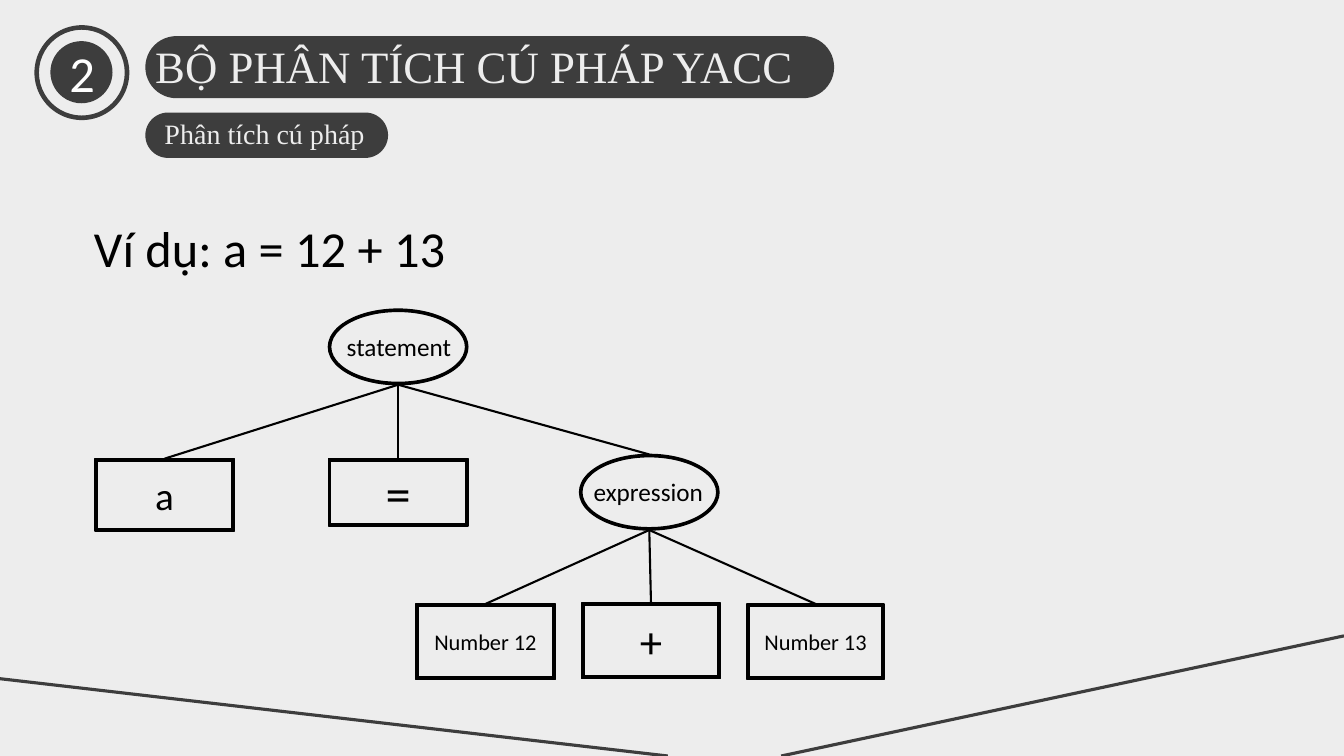
from dataclasses import dataclass
from typing import Optional

from lxml.etree import SubElement
from pptx import Presentation
from pptx.dml.color import RGBColor
from pptx.enum.shapes import MSO_CONNECTOR as Line, MSO_SHAPE as Shape
from pptx.enum.text import MSO_ANCHOR as Anchor, PP_ALIGN as Align
from pptx.oxml.ns import qn
from pptx.util import Inches, Pt

COLS, ROWS = 160, 90
CELL = Inches(7.5) / ROWS
COLORS = {"paper": "EDEDED", "dark": "3D3D3D", "ink": "000000", "white": "FFFFFF"}
SANS, SERIF = "Calibri", "Times New Roman"
NODE_WIDTH = 16.6


@dataclass
class Node:
    text: str
    center: float
    top: float
    size: int
    parent: Optional[str] = None
    width: float = NODE_WIDTH
    height: float = 9
    label_shift: Optional[float] = None

    @property
    def left(self) -> float:
        return self.center - self.width / 2

    @property
    def bottom(self) -> float:
        return self.top + self.height


@dataclass
class Label:
    text: str
    left: float
    top: float
    width: float
    height: float
    size: int
    font: str
    color: str


NODES = [
    Node("statement", 47.4, 36.8, 18, label_shift=1),
    Node("a", 19.6, 54.6, 28, "statement", height=8.6),
    Node("=", 47.4, 54.6, 36, "statement", height=8),
    Node("expression", 77.3, 54.1, 18, "statement", label_shift=0.5),
    Node("Number 12", 57.8, 71.9, 16, "expression"),
    Node("+", 77.5, 71.8, 32, "expression"),
    Node("Number 13", 97.1, 71.9, 16, "expression", width=16.3),
]
LABELS = [
    Label("Ví dụ: a = 12 + 13", 10, 25.3, 50, 8.5, 36, SANS, "ink"),
    Label("Phân tích cú pháp", 18.4, 13.3, 27.7, 5.3, 20, SERIF, "paper"),
    Label("BỘ PHÂN TÍCH CÚ PHÁP YACC", 17.3, 4, 115.7, 7.7, 32, SERIF, "paper"),
]
PILLS = [(17.3, 13.4, 28.9, 5.4), (17.3, 4.3, 82, 7.4)]
FLOOR_LINES = [(0, 80.8, 79.5, ROWS), (COLS, 75.7, 93, ROWS)]


def grid(*cells: float) -> list[int]:
    return [round(c * CELL) for c in cells]


def rgb(name: str) -> RGBColor:
    return RGBColor.from_string(COLORS[name])


def write(sp, text: str, *, size: int, font: str = SANS, color: str = "ink",
          align: Align = Align.LEFT, anchor: Anchor = Anchor.TOP) -> None:
    tf = sp.text_frame
    tf.word_wrap = True
    tf.vertical_anchor = anchor
    p = tf.paragraphs[0]
    p.alignment = align
    r = p.add_run()
    r.text = text
    r.font.size = Pt(size)
    r.font.name = font
    r.font.color.rgb = rgb(color)


def add_shape(s, kind: Shape, box: tuple, color: str, *,
              adj: Optional[float] = None, outline: float = 0):
    sp = s.shapes.add_shape(kind, *grid(*box))
    sp.shadow.inherit = False
    sp.fill.solid()
    sp.fill.fore_color.rgb = rgb(color)
    if outline:
        sp.line.color.rgb = rgb(color)
        sp.line.width = Pt(outline)
    else:
        sp.line.fill.background()
    if adj is not None:
        sp.adjustments[0] = adj
    return sp


def add_line(s, ends: tuple, color: str, width: float) -> None:
    line = s.shapes.add_connector(Line.STRAIGHT, *grid(*ends))
    line.line.color.rgb = rgb(color)
    line.line.width = Pt(width)
    SubElement(line._element.spPr, qn("a:effectLst"))


def add_label(s, label: Label) -> None:
    sp = s.shapes.add_textbox(*grid(label.left, label.top, label.width, label.height))
    write(sp, label.text, size=label.size, font=label.font, color=label.color)


def add_node(s, node: Node) -> None:
    box = (node.left, node.top, node.width, node.height)
    if node.label_shift is None:
        sp = add_shape(s, Shape.FRAME, box, "ink", adj=0.035, outline=1)
        write(sp, node.text, size=node.size, align=Align.CENTER, anchor=Anchor.MIDDLE)
    else:
        add_shape(s, Shape.DONUT, box, "ink", adj=0.03, outline=1)
        add_label(s, Label(node.text, node.left + node.label_shift, node.top + 2,
                           16.3, 4.8, node.size, SANS, "ink"))


def add_tree(s, nodes: list[Node]) -> None:
    by_text = {node.text: node for node in nodes}
    for node in nodes:
        add_node(s, node)
        if node.parent:
            parent = by_text[node.parent]
            add_line(s, (parent.center, parent.bottom, node.center, node.top), "ink", 1.5)


def main() -> None:
    prs = Presentation()
    prs.slide_width, prs.slide_height = grid(COLS, ROWS)
    s = prs.slides.add_slide(prs.slide_layouts[6])
    s.background.fill.solid()
    s.background.fill.fore_color.rgb = rgb("paper")

    add_tree(s, NODES)
    for box in PILLS:
        add_shape(s, Shape.ROUNDED_RECTANGLE, box, "dark", adj=0.5)
    add_shape(s, Shape.DONUT, (4.1, 3, 11.3, 11.3), "dark", adj=0.048)
    badge = add_shape(s, Shape.OVAL, (6, 4.9, 7.4, 7.4), "dark")
    write(badge, "2", size=36, color="white", align=Align.CENTER, anchor=Anchor.MIDDLE)
    for label in LABELS:
        add_label(s, label)
    for ends in FLOOR_LINES:
        add_line(s, ends, "dark", 2.25)

    prs.save("out.pptx")


main()
